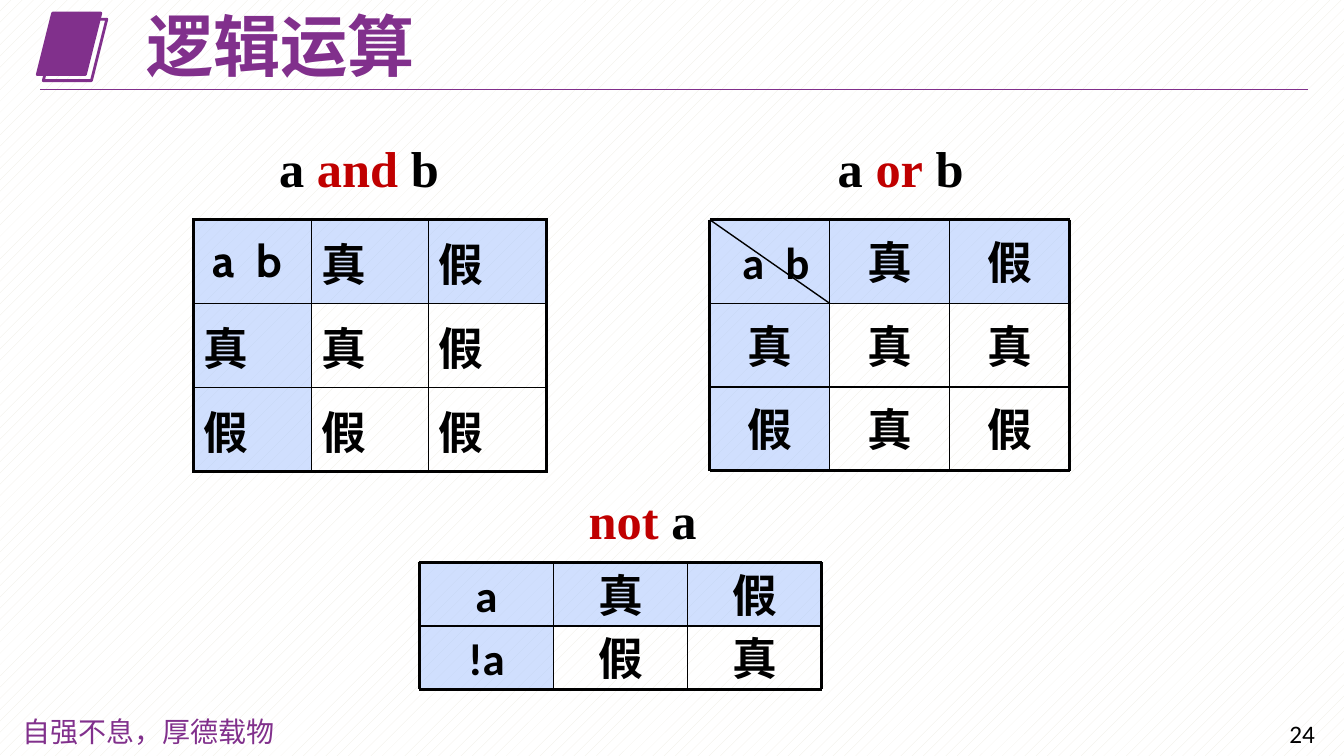
from dataclasses import dataclass

from lxml import etree
from pptx import Presentation
from pptx import util as u
from pptx.dml.color import RGBColor
from pptx.enum import dml, shapes, text
from pptx.oxml.ns import qn

COLORS = {"purple": "81308C", "red": "C00000", "black": "000000",
          "header": "A2C1FE", "white": "FFFFFF", "pattern": "EEECE1"}
CJK = "Noto Sans CJK SC"
THICK, THIN = 2.25, 1
CORNER = "a\tb"
CORNER_TAB = 0.43


@dataclass
class Label:
    left: float
    top: float
    width: float
    height: float
    wordings: list[tuple[str, str]]  # wording and colour name
    size: int
    font: str
    east_asian: str = CJK
    bold: bool = True
    wrap: bool = True
    spacing: float | None = None


@dataclass
class TruthGrid:
    left: float
    top: float
    column_width: float
    row_height: float
    rows: list[str]  # cells separated by blanks
    value_font: str
    split_corner: bool = False


def rgb(name: str) -> RGBColor:
    return RGBColor.from_string(COLORS[name])


def set_font(paragraph, size: int, font: str, east_asian: str = CJK, bold: bool = True) -> None:
    paragraph.font.size = u.Pt(size)
    paragraph.font.bold = bold
    paragraph.font.name = font
    defaults = paragraph._p.pPr.find(qn("a:defRPr"))
    etree.SubElement(defaults, qn("a:ea"), typeface=east_asian)


def write_cell(frame, wording: str, font: str) -> None:
    paragraph = frame.paragraphs[0]
    paragraph.text = wording
    if wording == CORNER:
        tabs = etree.SubElement(paragraph._p.get_or_add_pPr(), qn("a:tabLst"))
        etree.SubElement(tabs, qn("a:tab"), pos=str(u.Inches(CORNER_TAB)), algn="l")
    set_font(paragraph, 32, font)
    paragraph.font.color.rgb = rgb("black")


def fill_header(fill) -> None:
    fill.solid()
    fill.fore_color.rgb = rgb("header")
    color = fill._xPr.find(qn("a:solidFill"))[0]
    etree.SubElement(color, qn("a:alpha"), val="50000")


def add_label(slide, label: Label) -> None:
    box = slide.shapes.add_textbox(*map(u.Inches, (label.left, label.top, label.width, label.height)))
    frame = box.text_frame
    frame.word_wrap = label.wrap
    frame.vertical_anchor = text.MSO_ANCHOR.MIDDLE if label.spacing else text.MSO_ANCHOR.TOP
    paragraph = frame.paragraphs[0]
    if label.spacing:
        paragraph.line_spacing = label.spacing
    for wording, color in label.wordings:
        run = paragraph.add_run()
        run.text = wording
        run.font.color.rgb = rgb(color)
    set_font(paragraph, label.size, label.font, label.east_asian, label.bold)


def add_line(slide, x1: float, y1: float, x2: float, y2: float,
             weight: float, color: str = "black") -> None:
    line = slide.shapes.add_connector(shapes.MSO_CONNECTOR.STRAIGHT, *map(u.Inches, (x1, y1, x2, y2)))
    line.line.color.rgb = rgb(color)
    line.line.width = u.Pt(weight)
    etree.SubElement(line._element.spPr, qn("a:effectLst"))


def add_tile(slide, left: float, top: float, filled: bool) -> None:
    tile = slide.shapes.add_shape(shapes.MSO_SHAPE.PARALLELOGRAM,
                                  *map(u.Inches, (left, top, 0.63, 0.61)))
    tile.shadow.inherit = False
    if filled:
        tile.fill.solid()
        tile.fill.fore_color.rgb = rgb("purple")
    else:
        tile.fill.background()
    tile.line.color.rgb = rgb("purple")
    tile.line.width = u.Pt(2)


def add_grid_cell(slide, grid: TruthGrid, row: int, column: int, wording: str) -> None:
    area = map(u.Inches, (grid.left + column * grid.column_width, grid.top + row * grid.row_height,
                          grid.column_width, grid.row_height))
    if row == 0 or column == 0:
        cell = slide.shapes.add_shape(shapes.MSO_SHAPE.RECTANGLE, *area)
        cell.shadow.inherit = False
        fill_header(cell.fill)
        cell.line.fill.background()
    else:
        cell = slide.shapes.add_textbox(*area)
    frame = cell.text_frame
    frame.word_wrap = True
    frame.vertical_anchor = text.MSO_ANCHOR.MIDDLE
    write_cell(frame, wording, "Calibri" if wording.isascii() else grid.value_font)
    if wording == CORNER:
        frame.margin_left = u.Inches(0.32)
        frame.margin_right = 0
        frame.paragraphs[0].alignment = text.PP_ALIGN.LEFT
    else:
        frame.paragraphs[0].alignment = text.PP_ALIGN.CENTER


def add_grid(slide, grid: TruthGrid) -> None:
    cells = [row.split(" ") for row in grid.rows]
    row_count, column_count = len(cells), len(cells[0])
    for row, wordings in enumerate(cells):
        for column, wording in enumerate(wordings):
            add_grid_cell(slide, grid, row, column, wording)
    right = grid.left + column_count * grid.column_width
    bottom = grid.top + row_count * grid.row_height
    for row in range(row_count + 1):
        y = grid.top + row * grid.row_height
        add_line(slide, grid.left, y, right, y, THICK if row in (0, row_count) else THIN)
    for column in range(column_count + 1):
        x = grid.left + column * grid.column_width
        add_line(slide, x, grid.top, x, bottom, THICK if column in (0, column_count) else THIN)
    if grid.split_corner:
        add_line(slide, grid.left, grid.top, grid.left + grid.column_width,
                 grid.top + grid.row_height, THIN)


def add_border(cell, side: str, weight: float) -> None:
    border = etree.SubElement(cell._tc.get_or_add_tcPr(), qn(f"a:ln{side}"), w=str(u.Pt(weight)))
    fill = etree.SubElement(border, qn("a:solidFill"))
    etree.SubElement(fill, qn("a:srgbClr"), val=COLORS["black"])


def add_and_table(slide, rows: list[str]) -> None:
    table = slide.shapes.add_table(3, 3, *map(u.Inches, (1.92, 2.18, 3.5, 2.5))).table
    table.first_row = table.horz_banding = False
    for row, line in enumerate(rows):
        for column, wording in enumerate(line.split(" ")):
            cell = table.cell(row, column)
            outer = {"L": column == 0, "R": column == 2, "T": row == 0, "B": row == 2}
            for side, is_outer in outer.items():
                add_border(cell, side, THICK if is_outer else THIN)
            if row == 0 or column == 0:
                fill_header(cell.fill)
            else:
                cell.fill.background()
            cell.vertical_anchor = text.MSO_ANCHOR.MIDDLE
            cell.margin_left = u.Inches(0.19 if wording == CORNER else 0.1)
            write_cell(cell.text_frame, wording, "Cabin")


LABELS = [
    Label(0.12, 7.04, 2.78, 0.44, [("自强不息，厚德载物", "purple")], 20,
          "Noto Sans CJK JP", "Noto Sans CJK JP", bold=False),
    Label(12.69, 7.08, 0.61, 0.4, [("24", "black")], 18, "Calibri", bold=False),
    Label(1.35, 0.11, 6.15, 0.76, [("逻辑运算", "purple")], 48, CJK, spacing=0.9),
    Label(2.67, 1.31, 1.8, 0.71, [("a ", "black"), ("and", "red"), (" b", "black")], 36,
          "Times New Roman", wrap=False),
    Label(8.21, 1.31, 1.45, 0.71, [("a ", "black"), ("or", "red"), (" b", "black")], 36,
          "Times New Roman", wrap=False),
    Label(5.74, 4.8, 1.28, 0.71, [("not", "red"), (" a", "black")], 36,
          "Times New Roman", wrap=False),
]
AND_ROWS = [f"{CORNER} 真 假", "真 真 假", "假 假 假"]
GRIDS = [
    TruthGrid(7.04, 2.18, 1.19, 0.83, [f"{CORNER} 真 假", "真 真 真", "假 真 假"],
              "Calibri", split_corner=True),
    TruthGrid(4.16, 5.58, 1.33, 0.63, ["a 真 假", "!a 假 真"], CJK),
]


def main() -> None:
    prs = Presentation()
    prs.slide_width, prs.slide_height = u.Inches(13.33), u.Inches(7.5)
    slide = prs.slides.add_slide(prs.slide_layouts[6])

    # Background
    backdrop = slide.background.fill
    backdrop.patterned()
    backdrop.pattern = dml.MSO_PATTERN.PERCENT_10
    backdrop.fore_color.rgb = rgb("pattern")
    backdrop.back_color.rgb = rgb("white")

    # Title ornament and rule
    add_tile(slide, 0.37, 0.13, filled=True)
    add_tile(slide, 0.43, 0.19, filled=False)
    add_line(slide, 0.4, 0.89, 12.97, 0.89, 0.75, "purple")

    # Truth tables, title, headings and footer
    add_and_table(slide, AND_ROWS)
    for grid in GRIDS:
        add_grid(slide, grid)
    for label in LABELS:
        add_label(slide, label)

    prs.save("out.pptx")


if __name__ == "__main__":
    main()
